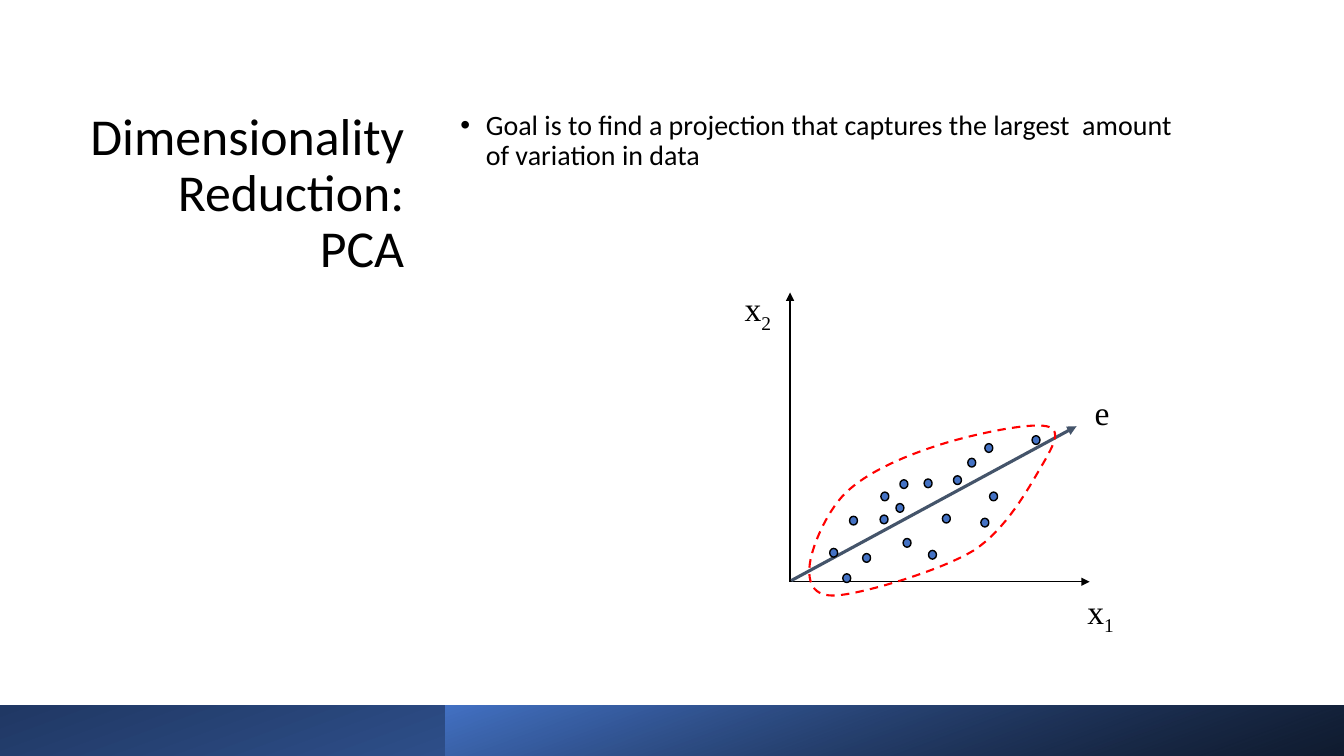
from dataclasses import dataclass
from typing import Optional

from lxml.etree import SubElement
from pptx import Presentation
from pptx.dml.color import RGBColor
from pptx.enum.dml import MSO_LINE
from pptx.enum.shapes import MSO_CONNECTOR, MSO_SHAPE
from pptx.enum.text import MSO_ANCHOR, MSO_AUTO_SIZE, PP_ALIGN
from pptx.oxml.ns import qn
from pptx.util import Cm, Pt

BLACK = "000000"
BLUE = "4472C4"
DOT_WIDTH, DOT_HEIGHT = 0.2, 0.22
CURVE_STEPS = 16
Point = tuple[float, float]


@dataclass
class Stop:
    position: int
    color: str
    opacity: int = 100


@dataclass
class Band:
    left: float
    width: float
    rotation: int
    angle: int
    stops: tuple[Stop, Stop]


@dataclass
class Arrow:
    start: Point
    end: Point
    color: str
    weight: float


@dataclass
class Label:
    left: float
    top: float
    width: float
    letter: str
    subscript: Optional[str] = None


BANDS = [
    Band(0, 33.87, 180, 110, (Stop(0, BLUE), Stop(100, "203864"))),
    Band(11.22, 22.65, 0, 290, (Stop(0, BLACK, 76), Stop(100, BLUE))),
]
ARROWS = [
    Arrow((19.91, 14.66), (19.91, 7.37), BLACK, 1),
    Arrow((19.91, 14.66), (27.46, 14.66), BLACK, 1),
    Arrow((19.94, 14.63), (27.13, 10.74), "44546A", 2.25),
]
LABELS = [
    Label(18.49, 7.21, 1.22, "x", "2"),
    Label(27.13, 14.83, 1.22, "x", "1"),
    Label(27.33, 9.75, 0.89, "e"),
]
SAMPLES: list[Point] = [
    (21.51, 13.12), (22.3, 12.51), (21.01, 13.93), (22.68, 12.8), (22.28, 13.09), (23.85, 13.07),
    (23.5, 13.98), (22.86, 13.68), (23.39, 12.18), (25.04, 12.51), (26.11, 11.09), (21.84, 14.06),
    (24.13, 12.1), (24.92, 11.29), (22.78, 12.2), (24.49, 11.66), (24.82, 13.17), (21.34, 14.57),
]
CLUSTER_START: Point = (20.4, 14.3)
CLUSTER_CURVES: list[tuple[Point, Point, Point]] = [
    ((20.42, 13.87), (20.8, 12.93), (21.31, 12.42)),
    ((21.84, 11.91), (22.71, 11.53), (23.55, 11.25)),
    ((24.38, 10.97), (25.91, 10.64), (26.37, 10.74)),
    ((26.8, 10.82), (26.52, 11.28), (26.21, 11.81)),
    ((25.91, 12.32), (25.35, 13.34), (24.54, 13.87)),
    ((23.7, 14.38), (21.89, 14.91), (21.21, 14.99)),
    ((20.52, 15.09), (20.37, 14.73), CLUSTER_START),
]


def rgb(color: str) -> RGBColor:
    return RGBColor.from_string(color)


def add_run(paragraph, text: str, size: float, font: str):
    run = paragraph.add_run()
    run.text = text
    run.font.size = Pt(size)
    run.font.name = font
    run.font.color.rgb = rgb(BLACK)
    return run


def place_text(placeholder, left: float, width: float, height: float):
    placeholder.left, placeholder.top = Cm(left), Cm(2.67)
    placeholder.width, placeholder.height = Cm(width), Cm(height)
    frame = placeholder.text_frame
    frame.auto_size = MSO_AUTO_SIZE.NONE
    frame.vertical_anchor = MSO_ANCHOR.TOP
    frame.word_wrap = True
    paragraph = frame.paragraphs[0]
    paragraph.line_spacing = 0.9
    paragraph.space_before = Pt(0)
    return paragraph


def add_bullet(paragraph) -> None:
    properties = paragraph._p.get_or_add_pPr()
    properties.set("marL", str(Cm(0.64)))
    properties.set("indent", str(-Cm(0.64)))
    SubElement(properties, qn("a:buFont"), typeface="Arial")
    SubElement(properties, qn("a:buChar"), char="•")


def draw_band(shapes, band: Band) -> None:
    strip = shapes.add_shape(MSO_SHAPE.RECTANGLE, Cm(band.left), Cm(17.78), Cm(band.width), Cm(1.27))
    strip.shadow.inherit = False
    strip.rotation = band.rotation
    strip._element.spPr.find(qn("a:xfrm")).set("flipH", "1")
    strip.line.fill.background()
    strip.fill.gradient()
    gradient = strip._element.spPr.find(qn("a:gradFill"))
    for child in list(gradient):
        gradient.remove(child)
    stop_list = SubElement(gradient, qn("a:gsLst"))
    for stop in band.stops:
        entry = SubElement(stop_list, qn("a:gs"), pos=str(stop.position * 1000))
        tint = SubElement(entry, qn("a:srgbClr"), val=stop.color)
        if stop.opacity < 100:
            SubElement(tint, qn("a:alpha"), val=str(stop.opacity * 1000))
    SubElement(gradient, qn("a:lin"), ang=str(band.angle * 60000), scaled="0")


def draw_arrow(shapes, arrow: Arrow) -> None:
    line = shapes.add_connector(MSO_CONNECTOR.STRAIGHT, *map(Cm, arrow.start + arrow.end))
    line.line.color.rgb = rgb(arrow.color)
    line.line.width = Pt(arrow.weight)
    SubElement(line.line._get_or_add_ln(), qn("a:tailEnd"), type="triangle")
    SubElement(line._element.spPr, qn("a:effectLst"))


def draw_sample(shapes, center: Point) -> None:
    dot = shapes.add_shape(
        MSO_SHAPE.OVAL, Cm(center[0] - DOT_WIDTH / 2), Cm(center[1] - DOT_HEIGHT / 2),
        Cm(DOT_WIDTH), Cm(DOT_HEIGHT))
    dot.shadow.inherit = False
    dot.fill.solid()
    dot.fill.fore_color.rgb = rgb(BLUE)
    dot.line.color.rgb = rgb(BLACK)
    dot.line.width = Pt(1)


def cluster_points() -> list[Point]:
    points: list[Point] = []
    start = CLUSTER_START
    for first, second, end in CLUSTER_CURVES:
        for step in range(1, CURVE_STEPS + 1):
            t = step / CURVE_STEPS
            weights = ((1 - t) ** 3, 3 * t * (1 - t) ** 2, 3 * t ** 2 * (1 - t), t ** 3)
            x, y = (sum(w * p[axis] for w, p in zip(weights, (start, first, second, end)))
                    for axis in (0, 1))
            points.append((Cm(x), Cm(y)))
        start = end
    return points


def draw_cluster(shapes) -> None:
    builder = shapes.build_freeform(Cm(CLUSTER_START[0]), Cm(CLUSTER_START[1]))
    builder.add_line_segments(cluster_points(), close=True)
    outline = builder.convert_to_shape()
    outline.shadow.inherit = False
    outline.fill.background()
    outline.line.color.rgb = rgb("FF0000")
    outline.line.width = Pt(1.5)
    outline.line.dash_style = MSO_LINE.DASH


def draw_label(shapes, label: Label) -> None:
    frame = shapes.add_textbox(Cm(label.left), Cm(label.top), Cm(label.width), Cm(1.27)).text_frame
    frame.word_wrap = False
    frame.auto_size = MSO_AUTO_SIZE.SHAPE_TO_FIT_TEXT
    frame.vertical_anchor = MSO_ANCHOR.MIDDLE
    paragraph = frame.paragraphs[0]
    paragraph.alignment = PP_ALIGN.CENTER
    add_run(paragraph, label.letter, 24, "Times New Roman")
    if label.subscript:
        index = add_run(paragraph, label.subscript, 24, "Times New Roman")
        index.font._element.set("baseline", "-25000")


def main() -> None:
    deck = Presentation()
    deck.slide_width, deck.slide_height = Cm(33.87), Cm(19.05)
    slide = deck.slides.add_slide(deck.slide_layouts[1])

    heading = place_text(slide.shapes.title, 1.83, 8.61, 12.29)
    slide.shapes.title.text_frame.margin_left = Cm(0.36)
    heading.alignment = PP_ALIGN.RIGHT
    add_run(heading, "Dimensionality Reduction: PCA", 37, "Calibri")

    goal = place_text(slide.placeholders[1], 11.35, 19.05, 13.18)
    add_bullet(goal)
    add_run(goal, "Goal is to find a projection that captures the largest  amount of variation in data",
            20, "Calibri")

    for band in BANDS:
        draw_band(slide.shapes, band)
    plot = slide.shapes.add_group_shape().shapes
    for arrow in ARROWS:
        draw_arrow(plot, arrow)
    for center in SAMPLES:
        draw_sample(plot, center)
    draw_cluster(plot)
    for label in LABELS:
        draw_label(plot, label)
    deck.save("out.pptx")


if __name__ == "__main__":
    main()
